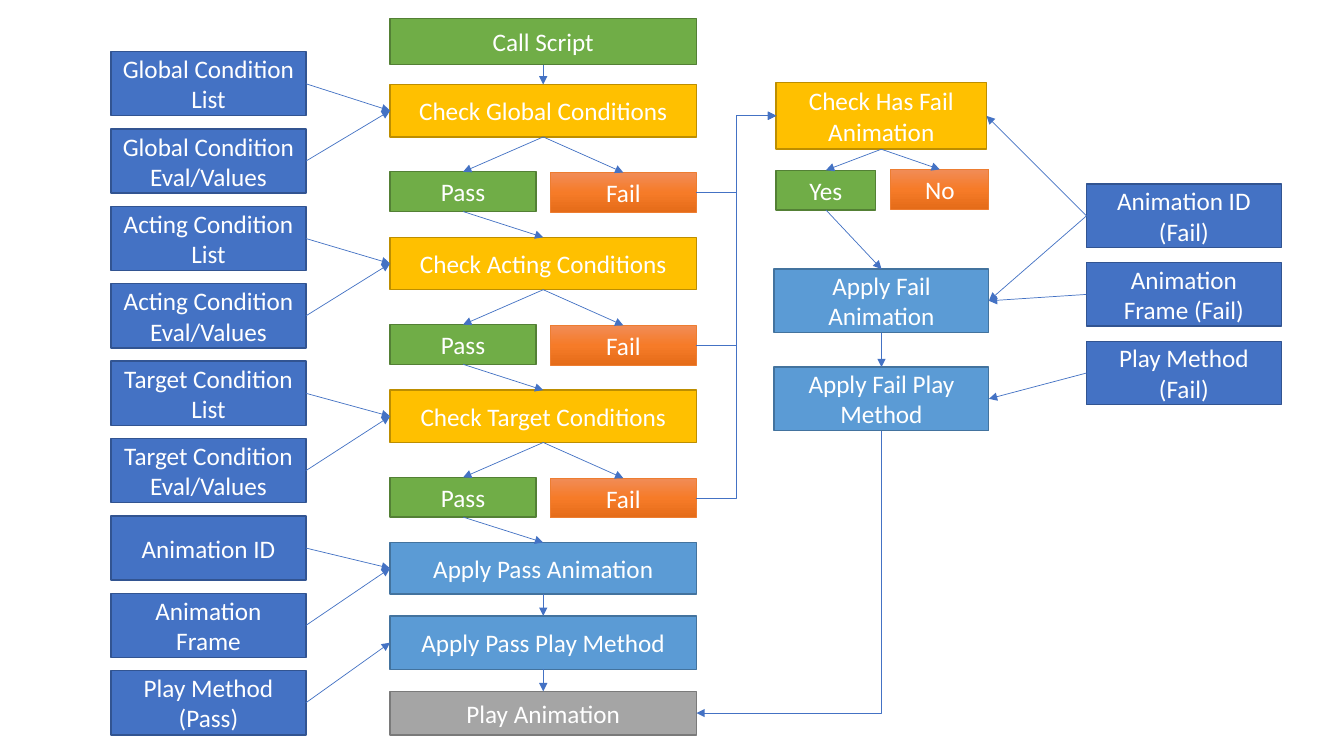
from copy import deepcopy

from lxml import etree
from pptx import Presentation
from pptx import util as u
from pptx.dml.color import RGBColor
from pptx.enum import shapes, text
from pptx.oxml import ns

WHITE = RGBColor(0xFF, 0xFF, 0xFF)
BLUE = RGBColor(0x44, 0x72, 0xC4)
DARK_BLUE = RGBColor(0x32, 0x54, 0x91)
SKY = RGBColor(0x5B, 0x9B, 0xD5)
DARK_SKY = RGBColor(0x43, 0x73, 0x9E)
GOLD = RGBColor(0xFF, 0xC0, 0x00)
DARK_GOLD = RGBColor(0xBD, 0x8E, 0x00)
GREEN = RGBColor(0x70, 0xAD, 0x47)
DARK_GREEN = RGBColor(0x53, 0x80, 0x35)
GRAY = RGBColor(0xA5, 0xA5, 0xA5)
DARK_GRAY = RGBColor(0x7A, 0x7A, 0x7A)
ORANGE = RGBColor(0xED, 0x7D, 0x31)
ORANGE_STOPS = [
    (0, RGBColor(0xF1, 0x8C, 0x57)),
    (0.5, RGBColor(0xF6, 0x7B, 0x28)),
    (1, RGBColor(0xE5, 0x6C, 0x19)),
]

# Role of a box: fill (None for the orange gradient), outline, outline width
STYLES = {
    "input": (BLUE, DARK_BLUE, 1),
    "check": (GOLD, DARK_GOLD, 1),
    "pass": (GREEN, DARK_GREEN, 1),
    "fail": (None, ORANGE, 0.5),
    "apply": (SKY, DARK_SKY, 1),
    "play": (GRAY, DARK_GRAY, 1),
}
FONT = {"name": "Calibri", "size": u.Pt(18)}
TOP, LEFT, BOTTOM, RIGHT = range(4)
STRAIGHT = shapes.MSO_CONNECTOR.STRAIGHT
ELBOW = shapes.MSO_CONNECTOR.ELBOW

deck = Presentation()
deck.slide_width, deck.slide_height = u.Cm(33.87), u.Cm(19.05)
page = deck.slides.add_slide(deck.slide_layouts[6])


def add_box(label, role, left, top, width, height):
    """Add a labelled rectangle in the style of its role; lengths in cm."""
    box = page.shapes.add_shape(
        shapes.MSO_SHAPE.RECTANGLE, *map(u.Cm, (left, top, width, height)))
    box.shadow.inherit = False
    fill, outline, weight = STYLES[role]
    if fill is None:
        box.fill.gradient()
        box.fill.gradient_angle = 270
        stops = box.element.xpath(".//a:gsLst")[0]
        stops.insert(1, deepcopy(stops[0]))
        for stop, (position, color) in zip(box.fill.gradient_stops, ORANGE_STOPS):
            stop.position, stop.color.rgb = position, color
    else:
        box.fill.solid()
        box.fill.fore_color.rgb = fill
    box.line.color.rgb, box.line.width = outline, u.Pt(weight)
    frame = box.text_frame
    frame.word_wrap = True
    frame.vertical_anchor = text.MSO_ANCHOR.MIDDLE
    para = frame.paragraphs[0]
    para.alignment = text.PP_ALIGN.CENTER
    span = para.add_run()
    span.text = label
    span.font.color.rgb = WHITE
    for name, value in FONT.items():
        setattr(span.font, name, value)
    return box


def link(start, start_side, end, end_side, kind=STRAIGHT, arrow="tailEnd"):
    """Glue a connector with an arrowhead between the sides of two boxes."""
    wire = page.shapes.add_connector(kind, 0, 0, 0, 0)
    wire.begin_connect(start, start_side)
    wire.end_connect(end, end_side)
    wire.line.color.rgb, wire.line.width = BLUE, u.Pt(0.5)
    line = wire.element.xpath("./p:spPr/a:ln")[0]
    etree.SubElement(line, ns.qn("a:" + arrow), type="triangle")
    etree.SubElement(wire.element.spPr, ns.qn("a:effectLst"))
    return wire


# Main column
MAIN_LEFT, MAIN_WIDTH = 9.83, 7.72
call_script = add_box("Call Script", "pass", MAIN_LEFT, 0.46, MAIN_WIDTH, 1.17)
apply_pass = add_box("Apply Pass Animation", "apply", MAIN_LEFT, 13.67, MAIN_WIDTH, 1.3)
pass_method = add_box("Apply Pass Play Method", "apply", MAIN_LEFT, 15.52, MAIN_WIDTH, 1.35)
play = add_box("Play Animation", "play", MAIN_LEFT, 17.42, MAIN_WIDTH, 1.1)

# Fail branch
check_fail = add_box("Check Has Fail Animation", "check", 19.56, 2.08, 5.3, 1.68)
yes = add_box("Yes", "pass", 19.56, 4.29, 2.51, 1)
no = add_box("No", "fail", 22.45, 4.27, 2.47, 1)
apply_fail = add_box("Apply Fail Animation", "apply", 19.51, 6.78, 5.41, 1.6)
fail_method = add_box("Apply Fail Play Method", "apply", 19.51, 9.25, 5.41, 1.6)

# Three condition checks, each with a pass and a fail outcome
checks, passes = [], []
for row, subject in enumerate(["Global", "Acting", "Target"]):
    top = 2.13 + 3.85 * row
    check = add_box(f"Check {subject} Conditions", "check", MAIN_LEFT, top, MAIN_WIDTH, 1.32)
    passed = add_box("Pass", "pass", MAIN_LEFT, top + 2.2, 3.68, 1)
    failed = add_box("Fail", "fail", 13.87, top + 2.22, 3.68, 1)
    for outcome in (passed, failed):
        link(check, BOTTOM, outcome, TOP)
    link(failed, RIGHT, check_fail, LEFT, ELBOW)
    checks.append(check)
    passes.append(passed)

for passed, following in zip(passes, checks[1:] + [apply_pass]):
    link(passed, BOTTOM, following, TOP)

# Inputs on the left, each feeding a step of the main column
left_inputs = [
    ("Global Condition List", checks[0]),
    ("Global Condition Eval/Values", checks[0]),
    ("Acting Condition List", checks[1]),
    ("Acting Condition Eval/Values", checks[1]),
    ("Target Condition List", checks[2]),
    ("Target Condition Eval/Values", checks[2]),
    ("Animation ID", apply_pass),
    ("Animation Frame", apply_pass),
    ("Play Method (Pass)", pass_method),
]
for row, (label, step) in enumerate(left_inputs):
    link(add_box(label, "input", 2.8, 1.3 + 1.95 * row, 4.91, 1.62), RIGHT, step, LEFT)

# Inputs on the right, feeding the fail branch
right_inputs = [
    ("Animation ID (Fail)", [check_fail, apply_fail]),
    ("Animation Frame (Fail)", [apply_fail]),
    ("Play Method (Fail)", [fail_method]),
]
for row, (label, steps) in enumerate(right_inputs):
    source = add_box(label, "input", 27.38, 4.64 + 1.98 * row, 4.91, 1.6)
    for step in steps:
        link(source, LEFT, step, RIGHT)

for upper, lower in [
    (call_script, checks[0]),
    (apply_pass, pass_method),
    (pass_method, play),
    (check_fail, yes),
    (check_fail, no),
    (yes, apply_fail),
    (apply_fail, fail_method),
]:
    link(upper, BOTTOM, lower, TOP)

# Single-bend return to the main column, with the arrowhead at its start
bend = link(play, RIGHT, fail_method, BOTTOM, ELBOW, "headEnd")
bend.element.xpath("./p:spPr/a:prstGeom")[0].set("prst", "bentConnector2")

deck.save("out.pptx")
